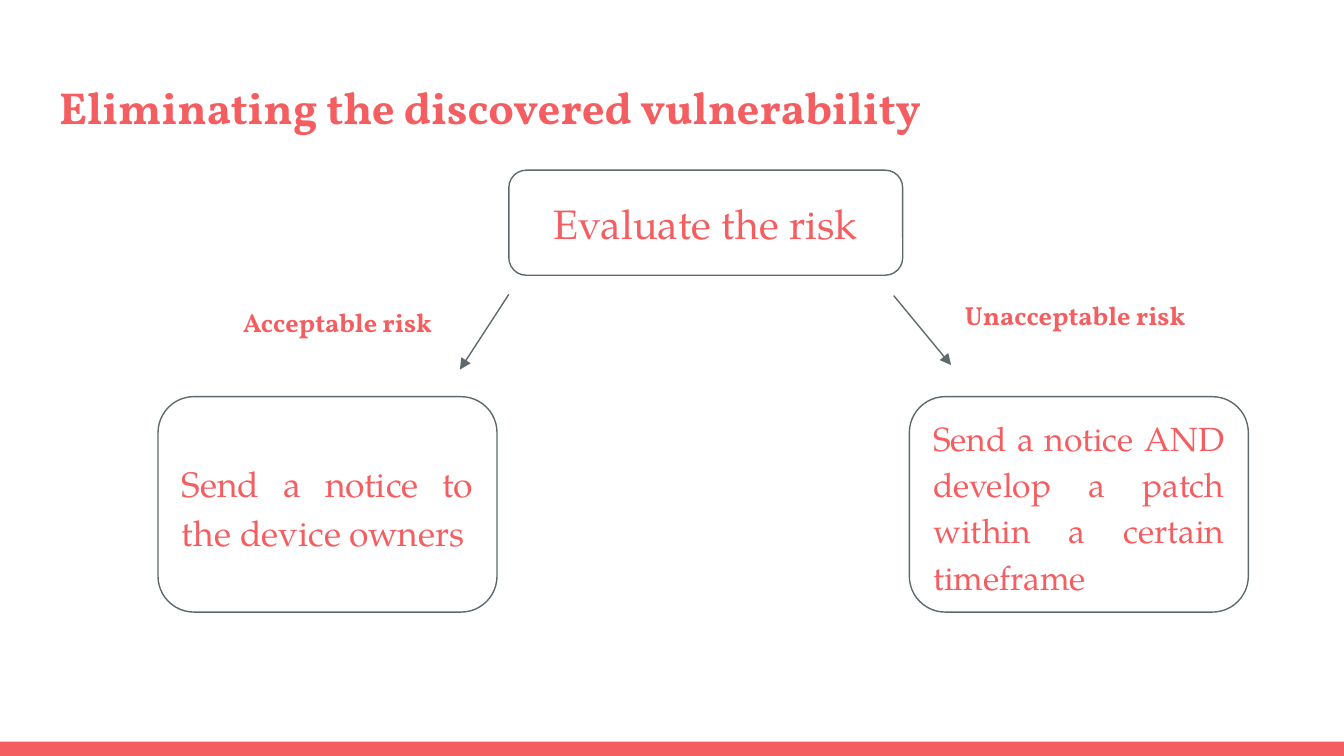
"""Build a slide on how a discovered vulnerability is eliminated."""
from dataclasses import dataclass

from lxml.etree import SubElement
from pptx import Presentation
from pptx.dml.color import RGBColor
from pptx.enum.shapes import MSO_CONNECTOR, MSO_SHAPE
from pptx.enum.text import MSO_ANCHOR, MSO_AUTO_SIZE, PP_ALIGN
from pptx.oxml.ns import qn
from pptx.util import Pt


@dataclass(frozen=True)
class Theme:
    coral: RGBColor = RGBColor(0xF5, 0x5E, 0x61)
    slate: RGBColor = RGBColor(0x5E, 0x69, 0x6C)
    white: RGBColor = RGBColor(0xFF, 0xFF, 0xFF)
    head: str = "Vollkorn"
    body: str = "TeX Gyre Pagella"
    title: float = 24
    root: float = 22
    left: float = 19
    right: float = 18
    label: float = 14
    line: float = 0.75


theme = Theme()


def place(shape, x, y, width, height):
    shape.left, shape.top = Pt(x), Pt(y)
    shape.width, shape.height = Pt(width), Pt(height)


def write(shape, text, size, face, bold, align, anchor, space):
    frame = shape.text_frame
    frame.word_wrap = True
    frame.auto_size = MSO_AUTO_SIZE.NONE
    frame.vertical_anchor = anchor
    frame.margin_left = frame.margin_right = Pt(7.2)
    frame.margin_top = frame.margin_bottom = Pt(7.2)
    para = frame.paragraphs[0]
    para.alignment = align
    para.line_spacing = space
    para.space_before = Pt(0)
    run = para.add_run()
    run.text = text
    run.font.name = face
    run.font.size = Pt(size)
    run.font.bold = bold
    run.font.color.rgb = theme.coral


deck = Presentation()
deck.slide_width, deck.slide_height = Pt(720), Pt(405)
slide = deck.slides.add_slide(deck.slide_layouts[5])
slide.background.fill.solid()
slide.background.fill.fore_color.rgb = theme.white
shapes = slide.shapes

bar = shapes.add_shape(MSO_SHAPE.RECTANGLE, Pt(0), Pt(397.3), Pt(720), Pt(7.7))
bar.shadow.inherit = False
bar.fill.solid()
bar.fill.fore_color.rgb = theme.coral
bar.line.fill.background()

title = shapes.title
place(title, 24.5, 31, 671, 49)
write(title, "Eliminating the discovered vulnerability", theme.title,
      theme.head, True, PP_ALIGN.JUSTIFY, MSO_ANCHOR.TOP, 1.15)

boxes = [
    ("Send a notice to the device owners", theme.left,
     84.7, 212.5, 181.6, 115.4, PP_ALIGN.JUSTIFY, 1.15),
    ("Send a notice AND develop a patch within a certain timeframe", theme.right,
     487.2, 212.5, 181.6, 115.4, PP_ALIGN.JUSTIFY, 1.15),
    ("Evaluate the risk", theme.root,
     272.6, 91.2, 211, 56.3, PP_ALIGN.CENTER, 1.0),
]
for text, size, x, y, width, height, align, space in boxes:
    box = shapes.add_shape(MSO_SHAPE.ROUNDED_RECTANGLE,
                           Pt(x), Pt(y), Pt(width), Pt(height))
    box.shadow.inherit = False
    box.fill.background()
    box.line.color.rgb = theme.slate
    box.line.width = Pt(theme.line)
    write(box, text, size, theme.body, False, align, MSO_ANCHOR.MIDDLE, space)

for ends in [(272.6, 157.7, 246.4, 198), (478.8, 158.4, 509.5, 195.6)]:
    arrow = shapes.add_connector(MSO_CONNECTOR.STRAIGHT, *map(Pt, ends))
    arrow.line.color.rgb = theme.slate
    arrow.line.width = Pt(theme.line)
    SubElement(arrow.line._get_or_add_ln(), qn("a:tailEnd"), type="triangle")
    SubElement(arrow._element.spPr, qn("a:effectLst"))

labels = [
    ("Unacceptable risk", 509.8, 153.4, 136.8, 48.2),
    ("Acceptable risk", 123.1, 157, 123.1, 31.7),
]
for text, x, y, width, height in labels:
    label = shapes.add_textbox(Pt(x), Pt(y), Pt(width), Pt(height))
    write(label, text, theme.label, theme.head, True,
          PP_ALIGN.LEFT, MSO_ANCHOR.TOP, 1.0)

deck.save("out.pptx")
